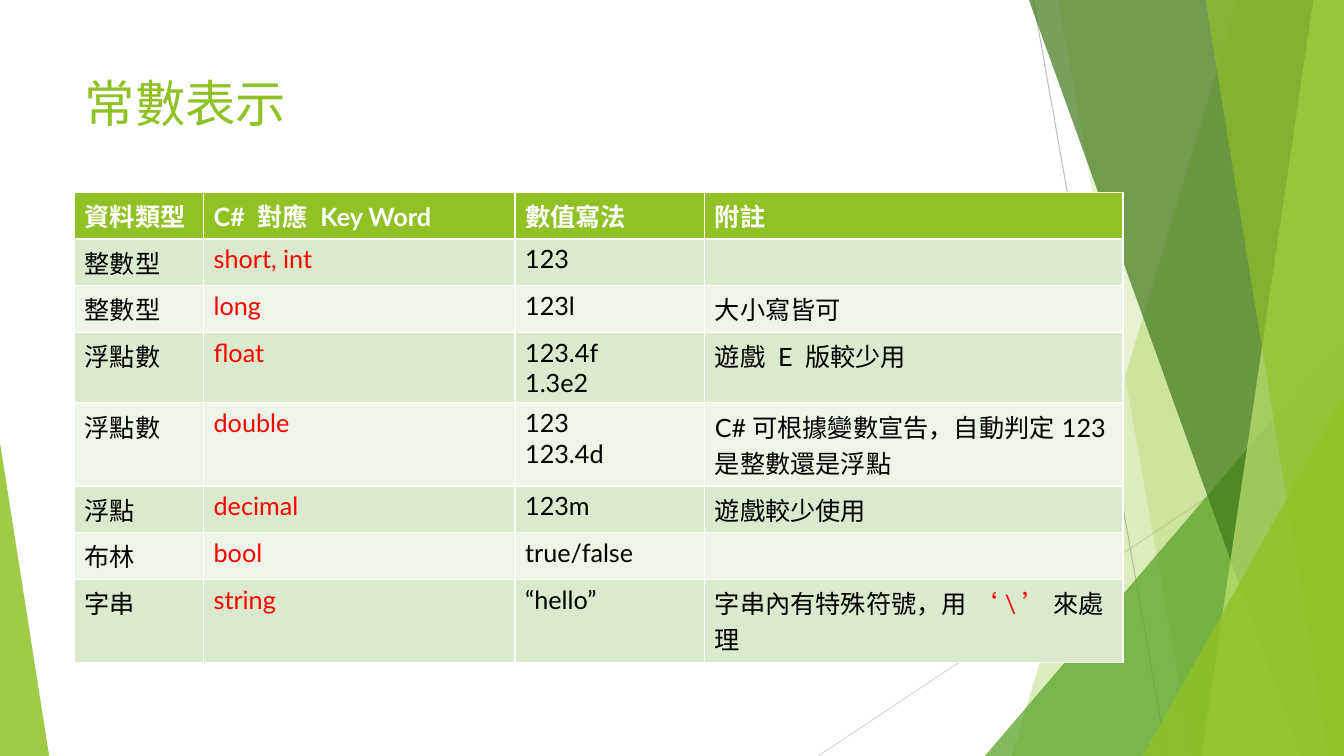
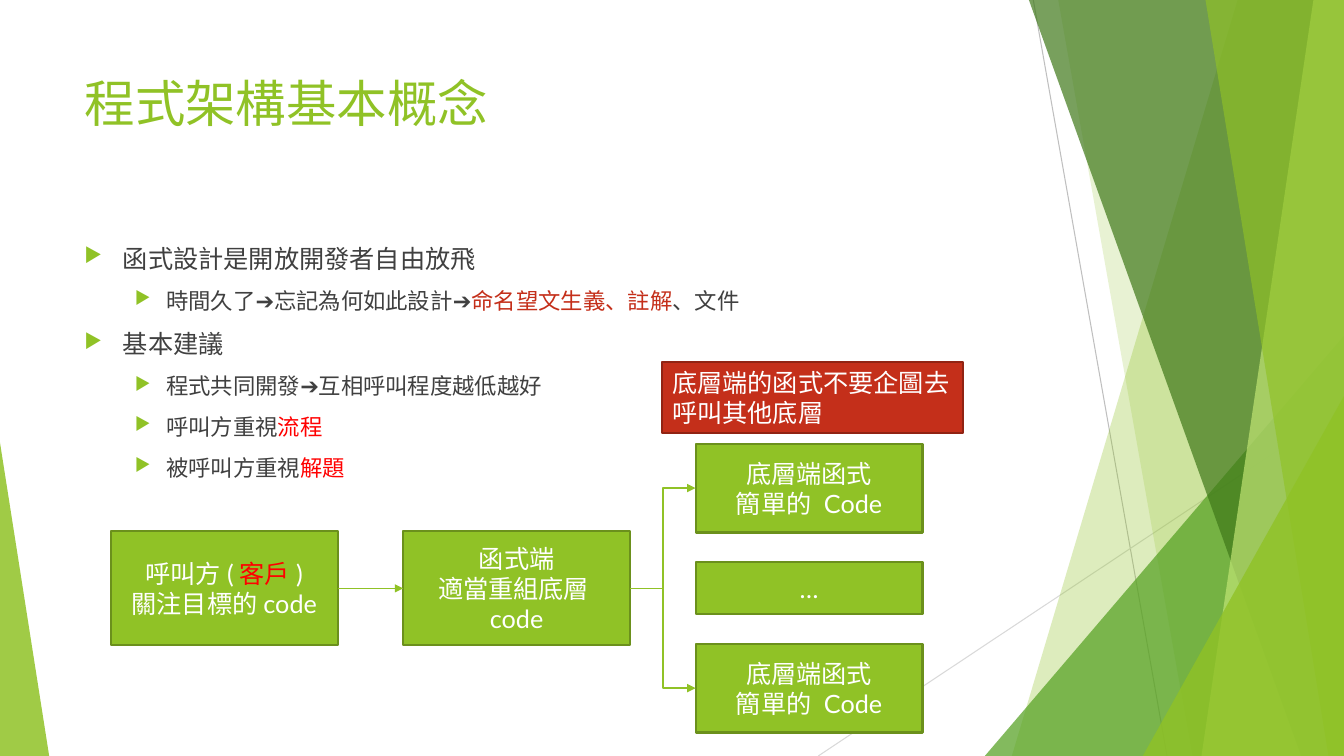
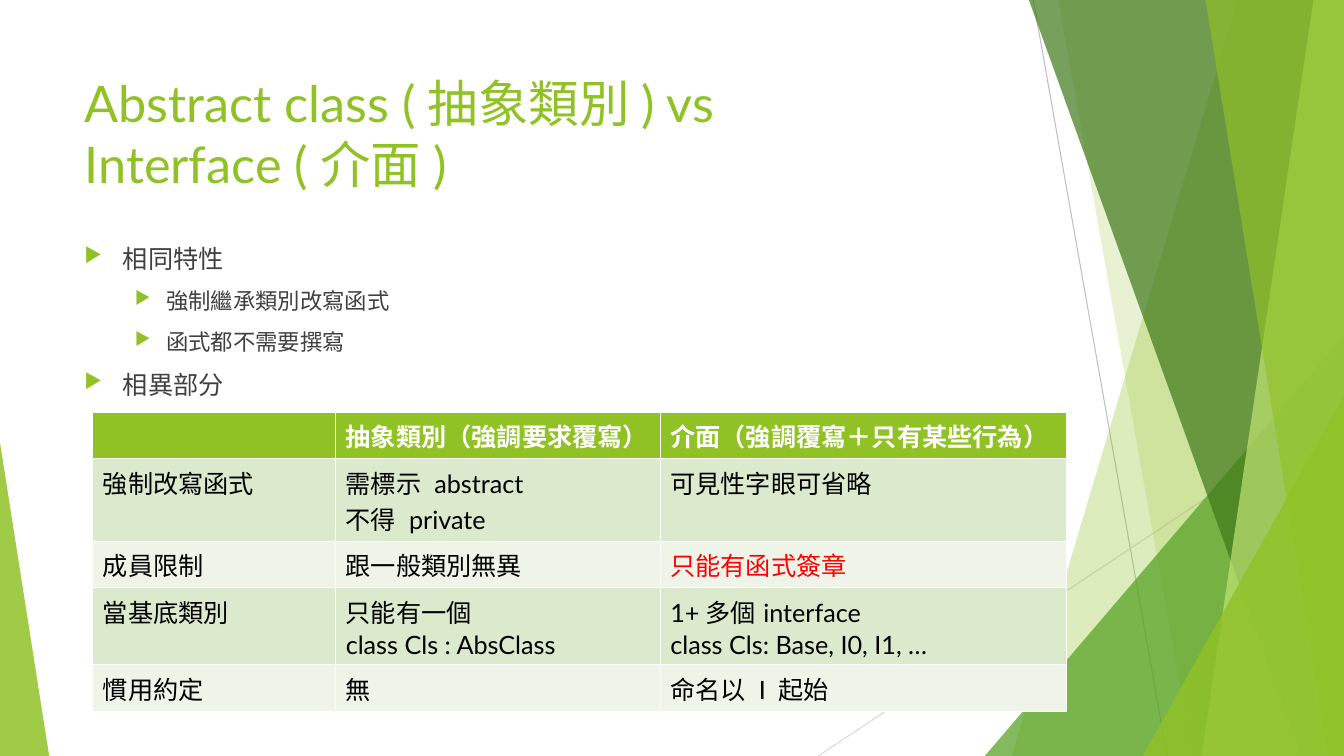
"""Builds three slides on constants, program structure and abstract classes."""
import lxml.etree
import pptx
import pptx.dml.color
import pptx.enum.shapes
import pptx.enum.text
import pptx.oxml.ns
import pptx.util

Cm = pptx.util.Cm
qn = pptx.oxml.ns.qn
SHAPE = pptx.enum.shapes.MSO_SHAPE
CONNECTOR = pptx.enum.shapes.MSO_CONNECTOR
ALIGN = pptx.enum.text.PP_ALIGN
ANCHOR = pptx.enum.text.MSO_ANCHOR

FONT = "Lato"
GREEN, DARK_GREEN = "90C226", "6B901C"
BRICK, DARK_BRICK = "C42F1A", "912313"
RED, GRAY, BLACK, WHITE = "FF0000", "404040", "000000", "FFFFFF"
BANDS = ("EEF4E8", "DBE9CD")
WIDTH, HEIGHT = 33.87, 19.05
MARGIN, TEXT_WIDTH = 1.88, 23.88

THIN_LINES = [
    (26.04, 0, 29.41, HEIGHT, "BFBFBF"),
    (WIDTH, 10.24, 20.62, HEIGHT, "D9D9D9"),
]
FACETS = [
    {"edge": (31.19, 25.5), "color": GREEN, "alpha": 30},
    {"edge": (26.67, 30.05), "color": GREEN, "alpha": 20},
    {"corner": (24.82, 8.46), "right": WIDTH, "peak": 1, "color": "54A021", "alpha": 72},
    {"edge": (25.93, 32.79), "color": "3F7819", "alpha": 70},
    {"edge": (33.1, 30.28), "color": "C0E474", "alpha": 70},
    {"edge": (30.38, 33.48), "color": GREEN, "alpha": 65},
    {"corner": (28.8, 9.98), "right": WIDTH, "peak": 1, "color": GREEN, "alpha": 80},
    {"corner": (0, 11.15), "right": 1.24, "peak": 0, "color": GREEN, "alpha": 85},
]

CONSTANTS = [
    ["資料類型", "C# 對應 Key Word", "數值寫法", "附註"],
    ["整數型", "short, int", "123", ""],
    ["整數型", "long", "123l", "大小寫皆可"],
    ["浮點數", "float", "123.4f\n1.3e2", "遊戲 E 版較少用"],
    ["浮點數", "double", "123\n123.4d", "C#可根據變數宣告，自動判定123是整數還是浮點"],
    ["浮點", "decimal", "123m", "遊戲較少使用"],
    ["布林", "bool", "true/false", ""],
    ["字串", "string", "“hello”", [["字串內有特殊符號，用 ", ("‘\\’ ", RED), "來處理"]]],
]
CONSTANT_COLUMNS = (3.25, 7.85, 4.78, 10.54)
CONSTANT_ROWS = (1.17, 1.17, 1.17, 1.78, 2.08, 1.17, 1.17, 2.08)

ADVICE = [
    (0, "函式設計是開放開發者自由放飛"),
    (1, ["時間久了➔忘記為何如此設計➔", ("命名望文生義、註解", BRICK), "、文件"]),
    (0, "基本建議"),
    (1, "程式共同開發➔互相呼叫程度越低越好"),
    (1, ["呼叫方重視", ("流程", RED)]),
    (1, ["被呼叫方重視", ("解題", RED)]),
]
CALLER = [["呼叫方(", ("客戶", RED), ")"], "關注目標的code"]
MIDDLE = "函式端\n適當重組底層code"
LOW_LEVEL = [
    ("底層端函式\n簡單的 Code", 2.24),
    ("…", 1.32),
    ("底層端函式\n簡單的 Code", 2.24),
]
WARNING = "底層端的函式不要企圖去\n呼叫其他底層"
BOX_LEFT, BOX_TOP, BOX_PITCH = 2.79, 13.39, 7.37
BOX_WIDTH, BOX_HEIGHT = 5.72, 2.87
STACK_TOP, STACK_GAP = 11.18, 0.74

COMPARISON_POINTS = [
    (0, "相同特性"),
    (1, "強制繼承類別改寫函式"),
    (1, "函式都不需要撰寫"),
    (0, "相異部分"),
]
COMPARISON = [
    ["", "抽象類別（強調要求覆寫）", "介面（強調覆寫＋只有某些行為）"],
    ["強制改寫函式", "需標示 abstract\n不得 private", "可見性字眼可省略"],
    ["成員限制", "跟一般類別無異", [[("只能有函式簽章", RED)]]],
    ["當基底類別", "只能有一個\nclass Cls : AbsClass", "1+多個interface\nclass Cls: Base, I0, I1, …"],
    ["慣用約定", "無", "命名以 I 起始"],
]
COMPARISON_COLUMNS = (6.12, 8.18, 10.24)
COMPARISON_ROWS = (1.17, 2.08, 1.17, 1.94, 1.17)


def rgb(color):
    return pptx.dml.color.RGBColor.from_string(color)


def write(tf, text, size=18, color=WHITE, bold=False, align=ALIGN.LEFT, east_asian=True):
    lines = text.split("\n") if isinstance(text, str) else text
    for i, line in enumerate(lines):
        p = tf.paragraphs[0] if i == 0 else tf.add_paragraph()
        p.alignment = align
        for part in [line] if isinstance(line, str) else line:
            words, tint = (part, color) if isinstance(part, str) else part
            if not words:
                continue
            r = p.add_run()
            r.text = words
            r.font.size = pptx.util.Pt(size)
            r.font.bold = bold
            r.font.color.rgb = rgb(tint)
            r.font.name = FONT
            if east_asian:
                lxml.etree.SubElement(r.font._rPr, qn("a:ea"), typeface=FONT)


def paint(sp, color, outline=None, alpha=100):
    sp.shadow.inherit = False
    sp.fill.solid()
    sp.fill.fore_color.rgb = rgb(color)
    if alpha < 100:
        tint = sp.element.spPr.find(qn("a:solidFill"))[0]
        lxml.etree.SubElement(tint, qn("a:alpha"), val=str(alpha * 1000))
    if outline:
        sp.line.color.rgb = rgb(outline)
        sp.line.width = pptx.util.Pt(1.5)
    else:
        sp.line.fill.background()


def add_line(slide, kind, ends, color, width):
    line = slide.shapes.add_connector(kind, *(Cm(v) for v in ends))
    line.line.color.rgb = rgb(color)
    line.line.width = pptx.util.Pt(width)
    lxml.etree.SubElement(line.element.spPr, qn("a:effectLst"))
    return line


def add_facet(slide, facet):
    if "edge" in facet:
        top, bottom = facet["edge"]
        outline = slide.shapes.build_freeform(Cm(top), 0)
        corners = [(WIDTH, 0), (WIDTH, HEIGHT), (bottom, HEIGHT)]
        outline.add_line_segments([(Cm(x), Cm(y)) for x, y in corners], close=True)
        sp = outline.convert_to_shape()
    else:
        x, y = facet["corner"]
        sp = slide.shapes.add_shape(SHAPE.ISOSCELES_TRIANGLE, Cm(x), Cm(y),
                                    Cm(facet["right"] - x), Cm(HEIGHT - y))
        sp.adjustments[0] = facet["peak"]
    paint(sp, facet["color"], alpha=facet["alpha"])


def decorate_layout(slide):
    for *ends, color in THIN_LINES:
        add_line(slide, CONNECTOR.STRAIGHT, ends, color, 0.75)
    for facet in FACETS:
        add_facet(slide, facet)
    decoration = [sp for sp in slide.shapes if not sp.is_placeholder]
    for number, sp in enumerate(decoration, 100):
        sp.element.xpath(".//p:cNvPr")[0].set("id", str(number))
        slide.slide_layout.shapes.element.append(sp.element)


def add_slide(prs, title):
    slide = prs.slides.add_slide(prs.slide_layouts[5])
    sp = slide.shapes.title
    sp.left, sp.top, sp.width, sp.height = Cm(MARGIN), Cm(1.7), Cm(TEXT_WIDTH), Cm(3.66)
    tf = sp.text_frame
    tf.auto_size = pptx.enum.text.MSO_AUTO_SIZE.NONE
    tf.vertical_anchor = ANCHOR.TOP
    write(tf, title, size=36, color=GREEN)
    return slide


def add_bullets(slide, points, height):
    sp = slide.shapes.add_textbox(Cm(MARGIN), Cm(6), Cm(TEXT_WIDTH), Cm(height))
    tf = sp.text_frame
    tf.word_wrap = True
    write(tf, [line for _, line in points], color=GRAY)
    for p, (level, _) in zip(tf.paragraphs, points):
        p.level = level
        p.space_before = pptx.util.Pt(10)
        for r in p.runs:
            r.font.size = pptx.util.Pt(16 if level else 18)
        left, hang = ((0.97, 0.97), (2.06, 0.79))[level]
        pPr = p._p.get_or_add_pPr()
        pPr.set("marL", str(Cm(left)))
        pPr.set("indent", str(-Cm(hang)))
        tint = lxml.etree.SubElement(pPr, qn("a:buClr"))
        lxml.etree.SubElement(tint, qn("a:srgbClr"), val=GREEN)
        lxml.etree.SubElement(pPr, qn("a:buSzPct"), val="80000")
        lxml.etree.SubElement(pPr, qn("a:buChar"), char="▶")


def add_table(slide, data, left, top, columns, rows, column_colors=None):
    frame = slide.shapes.add_table(len(rows), len(columns), Cm(left), Cm(top),
                                   Cm(sum(columns)), Cm(sum(rows)))
    table = frame.table
    for column, width in zip(table.columns, columns):
        column.width = Cm(width)
    for i, (row, height) in enumerate(zip(table.rows, rows)):
        row.height = Cm(height)
        for j, cell in enumerate(row.cells):
            header = i == 0
            cell.fill.solid()
            cell.fill.fore_color.rgb = rgb(GREEN if header else BANDS[i % 2])
            color = WHITE if header else (column_colors or {}).get(j, BLACK)
            write(cell.text_frame, data[i][j], color=color, bold=header, east_asian=False)


def add_box(slide, text, left, top, width, height, fill=GREEN, outline=DARK_GREEN, align=ALIGN.CENTER):
    sp = slide.shapes.add_shape(SHAPE.RECTANGLE, Cm(left), Cm(top), Cm(width), Cm(height))
    paint(sp, fill, outline)
    sp.text_frame.word_wrap = True
    sp.text_frame.vertical_anchor = ANCHOR.MIDDLE
    write(sp.text_frame, text, align=align)
    return sp


def add_arrow(slide, source, target, kind=CONNECTOR.ELBOW):
    arrow = add_line(slide, kind, (0, 0, 0, 0), GREEN, 1)
    arrow.begin_connect(source, 3)
    arrow.end_connect(target, 1)
    lxml.etree.SubElement(arrow.line._get_or_add_ln(), qn("a:tailEnd"), type="triangle")


def add_call_diagram(slide):
    caller, middle = [
        add_box(slide, text, BOX_LEFT + i * BOX_PITCH, BOX_TOP, BOX_WIDTH, BOX_HEIGHT)
        for i, text in enumerate((CALLER, MIDDLE))
    ]
    stack, top = [], STACK_TOP
    for text, height in LOW_LEVEL:
        stack.append(add_box(slide, text, BOX_LEFT + 2 * BOX_PITCH, top, BOX_WIDTH, height))
        top += height + STACK_GAP
    add_arrow(slide, caller, middle, CONNECTOR.STRAIGHT)
    for target in (stack[0], stack[-1]):
        add_arrow(slide, middle, target)
    warning = add_box(slide, WARNING, 16.69, 9.12, 7.57, 1.8, BRICK, DARK_BRICK, ALIGN.LEFT)
    warning.text_frame.word_wrap = False


def main():
    prs = pptx.Presentation()
    prs.slide_width, prs.slide_height = Cm(WIDTH), Cm(HEIGHT)

    slide = add_slide(prs, "常數表示")
    decorate_layout(slide)
    add_table(slide, CONSTANTS, MARGIN, 4.85, CONSTANT_COLUMNS, CONSTANT_ROWS, {1: RED})

    slide = add_slide(prs, "程式架構基本概念")
    add_bullets(slide, ADVICE, 7.44)
    add_call_diagram(slide)

    slide = add_slide(prs, "Abstract class (抽象類別) vs \nInterface (介面)")
    add_bullets(slide, COMPARISON_POINTS, 10.77)
    add_table(slide, COMPARISON, 2.34, 10.39, COMPARISON_COLUMNS, COMPARISON_ROWS)

    prs.save("out.pptx")


if __name__ == "__main__":
    main()
